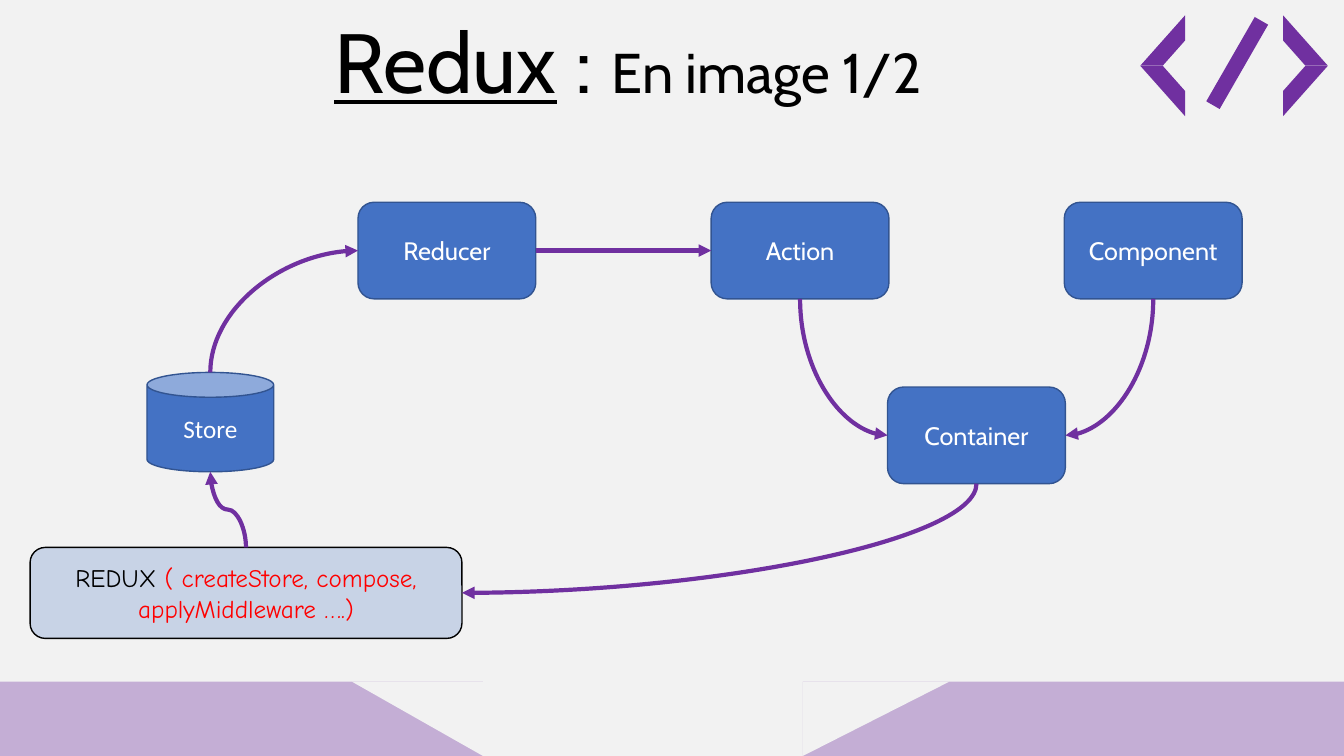
from lxml import etree
from pptx import Presentation
from pptx import util as u
from pptx.dml.color import RGBColor
from pptx.enum import shapes, text
from pptx.oxml import ns

Pt = u.Pt
KIND = shapes.MSO_SHAPE
COLORS = {
    "background": "F2F2F2", "purple": "7030A0", "blue": "4472C4",
    "edge": "325491", "black": "000000", "white": "FFFFFF", "red": "FF0000",
}
FORMATS = {
    "title": {"name": "Cabin", "size": Pt(60), "underline": False},
    "topic": {"name": "Cabin", "size": Pt(60), "underline": True},
    "subtitle": {"name": "Cabin", "size": Pt(40), "underline": False},
    "node": {"name": "Cabin", "size": Pt(18)},
    "store": {"name": "Calibri", "size": Pt(18)},
    "library": {"name": "Comic Neue", "size": Pt(18)},
}
# Connection sites by side: (x share, y share, site index)
SIDES = {"top": (0.5, 0, 0), "left": (0, 0.5, 1), "bottom": (0.5, 1, 2), "right": (1, 0.5, 3)}
CAN_SITES = {"top": 1, "bottom": 3}


class SlideBuilder:
    def __init__(self, slide):
        self.slide = slide
        self.slide.background.fill.solid()
        self.slide.background.fill.fore_color.rgb = self.color("background")

    def color(self, name):
        return RGBColor.from_string(COLORS[name])

    def add_runs(self, frame, runs):
        """Fill a frame with one centred paragraph of (text, format, colour) runs."""
        frame.word_wrap = True
        paragraph = frame.paragraphs[0]
        paragraph.alignment = text.PP_ALIGN.CENTER
        for words, style, color in runs:
            run = paragraph.add_run()
            run.text = words
            for attribute, value in FORMATS[style].items():
                setattr(run.font, attribute, value)
            run.font.color.rgb = self.color(color)

    def title(self, box, runs):
        shape = self.slide.shapes.title
        shape.left, shape.top, shape.width, shape.height = map(Pt, box)
        frame = shape.text_frame
        frame.auto_size = text.MSO_AUTO_SIZE.NONE
        frame.vertical_anchor = text.MSO_ANCHOR.TOP
        self.add_runs(frame, runs)

    def flip(self, shape, horizontal, vertical):
        frame = shape._element.spPr.find(ns.qn("a:xfrm"))
        frame.set("flipH", str(int(horizontal)))
        frame.set("flipV", str(int(vertical)))

    def shape(self, kind, box, fill, line=None, alpha=100, flips=(False, False), runs=()):
        shape = self.slide.shapes.add_shape(kind, *map(Pt, box))
        shape.shadow.inherit = False
        shape.fill.solid()
        shape.fill.fore_color.rgb = self.color(fill)
        if alpha < 100:
            color = shape._element.spPr.find(".//" + ns.qn("a:srgbClr"))
            etree.SubElement(color, ns.qn("a:alpha"), val=str(alpha * 1000))
        if line:
            shape.line.color.rgb = self.color(line)
            shape.line.width = Pt(1)
        else:
            shape.line.fill.background()
        self.flip(shape, *flips)
        if runs:
            shape.text_frame.vertical_anchor = text.MSO_ANCHOR.MIDDLE
            self.add_runs(shape.text_frame, runs)
        return shape

    def node(self, label, left, top):
        return self.shape(KIND.ROUNDED_RECTANGLE, (left, top, 127, 69), "blue", "edge",
                          runs=[(label, "node", "white")])

    def port(self, shape, side):
        across, down, site = SIDES[side]
        if shape.auto_shape_type == KIND.CAN:
            site = CAN_SITES[side]
        x = int(shape.left + across * shape.width)
        y = int(shape.top + down * shape.height)
        return x, y, site

    def arrow(self, source, source_side, target, target_side):
        x1, y1, source_site = self.port(source, source_side)
        x2, y2, target_site = self.port(target, target_side)
        connector = self.slide.shapes.add_connector(
            shapes.MSO_CONNECTOR.CURVE, x1, y1, x2, y2)
        connector.begin_connect(source, source_site)
        connector.end_connect(target, target_site)
        # A curve that leaves vertically is laid out sideways and turned
        width, height = abs(x2 - x1), abs(y2 - y1)
        properties = connector._element.spPr
        if source_side in ("top", "bottom"):
            width, height = height, width
            connector.rotation = 90
            self.flip(connector, y2 < y1, x2 > x1)
            if target_side in ("left", "right"):
                properties.find(ns.qn("a:prstGeom")).set("prst", "curvedConnector2")
        connector.left = (x1 + x2 - width) // 2
        connector.top = (y1 + y2 - height) // 2
        connector.width, connector.height = width, height
        connector.line.color.rgb = self.color("purple")
        connector.line.width = Pt(3)
        line = properties.find(ns.qn("a:ln"))
        etree.SubElement(line, ns.qn("a:tailEnd"), type="triangle")
        etree.SubElement(properties, ns.qn("a:effectLst"))


def main():
    presentation = Presentation()
    presentation.slide_width, presentation.slide_height = Pt(960), Pt(540)
    builder = SlideBuilder(presentation.slides.add_slide(presentation.slide_layouts[5]))

    # Footer bands with cut corners
    for band_left, band_width, cut_left, cut_width, mirrored in (
            (573.5, 386.5, 573.5, 104.5, False), (0, 345, 251.5, 93.5, True)):
        builder.shape(KIND.RECTANGLE, (band_left, 487, band_width, 53), "purple", alpha=35)
        builder.shape(KIND.RIGHT_TRIANGLE, (cut_left, 487, cut_width, 53), "background",
                      flips=(mirrored, True))

    # Code sign
    for left, is_left in ((814.5, True), (916.5, False)):
        for top, is_top in ((11, True), (47, False)):
            builder.shape(KIND.DIAGONAL_STRIPE, (left, top, 32, 36), "purple",
                          flips=(is_left, is_top))
    slash = builder.shape(KIND.MATH_MINUS, (836.5, 21.5, 94.5, 47), "purple")
    slash.rotation = 299.9

    # Title
    builder.title((104.5, 3, 688, 80), [
        ("Redux", "topic", "black"), (" : ", "title", "black"),
        ("En image 1/2", "subtitle", "black")])

    # Data flow nodes
    reducer, action, component = [
        builder.node(label, 255.75 + 252.25 * column, 144.5)
        for column, label in enumerate(("Reducer", "Action", "Component"))]
    container = builder.node("Container", 634, 276.5)
    store = builder.shape(KIND.CAN, (105, 266, 90.5, 71), "blue", "edge",
                          runs=[("Store", "store", "white")])
    library = builder.shape(
        KIND.ROUNDED_RECTANGLE, (21.5, 391, 308.5, 65), "blue", "black", alpha=24,
        runs=[("REDUX ", "library", "black"),
              ("( createStore, compose, applyMiddleware ….)", "library", "red")])

    # Arrows
    for link in (
            (store, "top", reducer, "left"),
            (reducer, "right", action, "left"),
            (action, "bottom", container, "left"),
            (library, "top", store, "bottom"),
            (container, "bottom", library, "right"),
            (component, "bottom", container, "right")):
        builder.arrow(*link)

    presentation.save("out.pptx")


if __name__ == "__main__":
    main()
